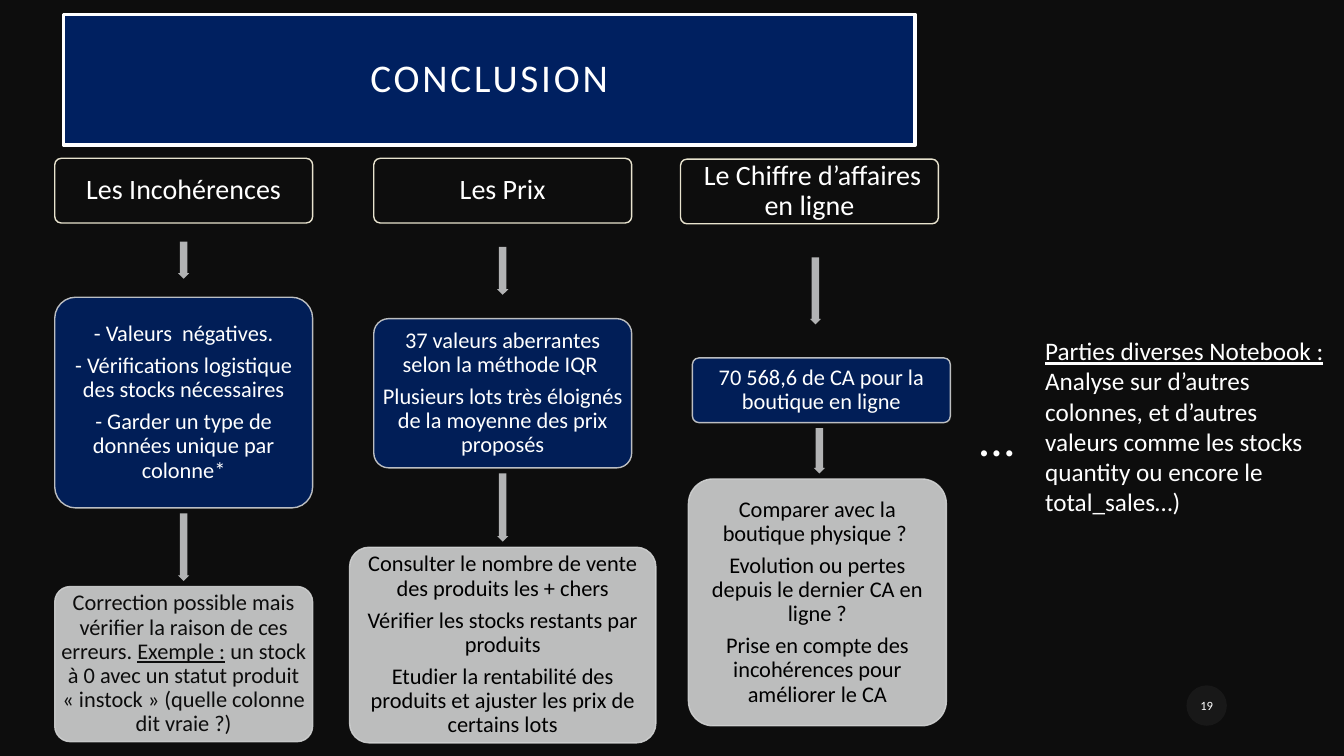
from lxml import etree
from pptx import Presentation
from pptx import util as u
from pptx.dml.color import RGBColor
from pptx.enum import shapes, text
from pptx.oxml.ns import qn

COLORS = {"night": "0D0D0D", "navy": "002060", "white": "FFFFFF", "cream": "E8E3CE",
          "arrow": "B2B3B4", "silver": "D0D1D1", "black": "000000", "badge": "1D1D1D"}
SHAPE = shapes.MSO_SHAPE
CENTER = text.PP_ALIGN.CENTER

# Each box: left, top, width, height in cm; paragraphs; text colour.
# A paragraph given as a tuple underlines every second run.
COLUMNS = [
    {"head": ((1.38, 3.99, 6.5, 1.63), ["Les Incohérences"], "white"),
     "finding": ((1.38, 7.49, 6.5, 5.31),
                 ["- Valeurs  négatives.",
                  "- Vérifications logistique des stocks nécessaires",
                  "- Garder un type de données unique par colonne*"], "white"),
     "action": ((1.38, 14.78, 6.5, 3.91),
                [("Correction possible mais vérifier la raison de ces erreurs. ", "Exemple :",
                  " un stock à 0 avec un statut produit « instock » "
                  "(quelle colonne dit vraie ?)")], "night")},
    {"head": ((9.42, 3.99, 6.5, 1.63), ["Les Prix"], "white"),
     "finding": ((9.42, 8.03, 6.5, 3.76),
                 ["37 valeurs aberrantes selon la méthode IQR ",
                  "Plusieurs lots très éloignés de la moyenne des prix proposés"], "white"),
     "action": ((8.81, 13.79, 7.72, 4.93),
                ["Consulter le nombre de vente des produits les + chers",
                 "Vérifier les stocks restants par produits",
                 "Etudier la rentabilité des produits et ajuster les prix de certains lots"],
                "black")},
    {"head": ((17.15, 4.01, 6.5, 1.63), [" Le Chiffre d’affaires en ligne"], "white"),
     "finding": ((17.45, 9.02, 6.5, 1.63), ["70 568,6 de CA pour la boutique en ligne"], "white"),
     "action": ((17.35, 12.07, 6.5, 6.22),
                ["Comparer avec la boutique physique ? ",
                 "Evolution ou pertes depuis le dernier CA en ligne ?",
                 "Prise en compte des incohérences pour améliorer le CA"], "black")},
]
BOX_STYLES = {
    "head": {"fill": "night", "line": "cream", "alpha": 100, "size": 20, "inset": 0.08},
    "finding": {"fill": "navy", "line": "silver", "alpha": 90, "size": 16, "inset": 0.05},
    "action": {"fill": "silver", "line": "silver", "alpha": 90, "size": 16, "inset": 0.05},
}


def rgb(name):
    return RGBColor.from_string(COLORS[name])


def paint(fill, color, alpha=100):
    """Solid fill with an opacity in percent."""
    fill.solid()
    fill.fore_color.rgb = rgb(color)
    if alpha < 100:
        for clr in fill._xPr.find(qn("a:solidFill")):
            etree.SubElement(clr, qn("a:alpha")).set("val", str(alpha * 1000))


def write(sp, paragraphs, size, color, inset=None, frame=None, para=None):
    """Fill a shape with paragraphs; frame and para hold format values."""
    tf = sp.text_frame
    margins = {} if inset is None else {
        f"margin_{side}": u.Cm(inset) for side in ("left", "top", "right", "bottom")}
    for name, value in {"word_wrap": True, **margins, **(frame or {})}.items():
        setattr(tf, name, value)
    for i, runs in enumerate(paragraphs):
        p = tf.add_paragraph() if i else tf.paragraphs[0]
        for name, value in (para or {}).items():
            setattr(p, name, value)
        for j, words in enumerate((runs,) if isinstance(runs, str) else runs):
            r = p.add_run()
            r.text = words
            r.font.color.rgb = rgb(color)
            for name, value in {"name": "Calibri", "size": u.Pt(size),
                                "underline": j % 2 == 1}.items():
                setattr(r.font, name, value)
    return tf


def add_preset(slide, kind, box):
    sp = slide.shapes.add_shape(kind, *map(u.Cm, box))
    sp.shadow.inherit = False
    sp.line.fill.background()
    return sp


def add_title(slide, box):
    sp = slide.shapes.title
    sp.left, sp.top, sp.width, sp.height = map(u.Cm, box)
    paint(sp.fill, "navy")
    sp.line.color.rgb = rgb("white")
    sp.line.width = u.Pt(2.5)
    tf = write(sp, ["CONCLUSION"], 28, "white", 0.5,
               {"vertical_anchor": text.MSO_ANCHOR.MIDDLE, "auto_size": text.MSO_AUTO_SIZE.NONE},
               {"alignment": CENTER, "line_spacing": 0.9})
    tf.paragraphs[0].runs[0].font._element.set("spc", "200")


def add_box(slide, box, paragraphs, color, style):
    sp = add_preset(slide, SHAPE.ROUNDED_RECTANGLE, box)
    sp.adjustments[0] = 0.1
    paint(sp.fill, style["fill"], style["alpha"])
    paint(sp.line.fill, style["line"], style["alpha"])
    sp.line.width = u.Pt(1)
    write(sp, paragraphs, style["size"], color, style["inset"],
          {"vertical_anchor": text.MSO_ANCHOR.MIDDLE},
          {"alignment": CENTER, "line_spacing": 0.9,
           "space_after": u.Pt(style["size"] * 0.35)})


def add_arrow(slide, upper, lower, length_of):
    """Down arrow centred in the gap between two boxes."""
    end = upper[1] + upper[3]
    gap = lower[1] - end
    length, width = length_of(gap), 0.28
    middle = (upper[0] + upper[2] / 2 + lower[0] + lower[2] / 2) / 2
    sp = add_preset(slide, SHAPE.DOWN_ARROW,
                    (middle - width / 2, end + (gap - length) / 2, width, length))
    sp.adjustments[0], sp.adjustments[1] = 0.67, 0.5
    paint(sp.fill, "arrow")


def add_column(slide, column):
    for part, content in column.items():
        add_box(slide, *content, BOX_STYLES[part])
    head, finding, action = (content[0] for content in column.values())
    add_arrow(slide, head, finding, lambda gap: gap / 2)
    add_arrow(slide, finding, action, lambda gap: gap - 0.28)


def add_side_note(slide, box):
    left, top, width, height = box
    parts = [((left, top + 1.78, 2.16, 1.8), ["…"], 36),
             ((left + 1.66, top, width - 1.66, height),
              [("", "Parties diverses Notebook :"),
               "Analyse sur d’autres colonnes, et d’autres valeurs comme les stocks "
               "quantity ou encore le total_sales…)"], 18)]
    for place, paragraphs, size in parts:
        write(slide.shapes.add_textbox(*map(u.Cm, place)), paragraphs, size, "white")


def add_page_number(slide, box):
    sp = add_preset(slide, SHAPE.OVAL, box)
    paint(sp.fill, "badge", 70)
    write(sp, ["19"], 9, "white", 0.05, {"vertical_anchor": text.MSO_ANCHOR.MIDDLE},
          {"alignment": CENTER})


def main():
    prs = Presentation()
    prs.slide_width, prs.slide_height = u.Cm(33.87), u.Cm(19.05)
    slide = prs.slides.add_slide(prs.slide_layouts[5])
    paint(slide.background.fill, "night")
    add_title(slide, (1.6, 0.36, 21.46, 3.3))
    for column in COLUMNS:
        add_column(slide, column)
    add_side_note(slide, (24.43, 8.33, 9.43, 4.88))
    add_page_number(slide, (29.9, 17.27, 1.02, 1.02))
    prs.save("out.pptx")


if __name__ == "__main__":
    main()
